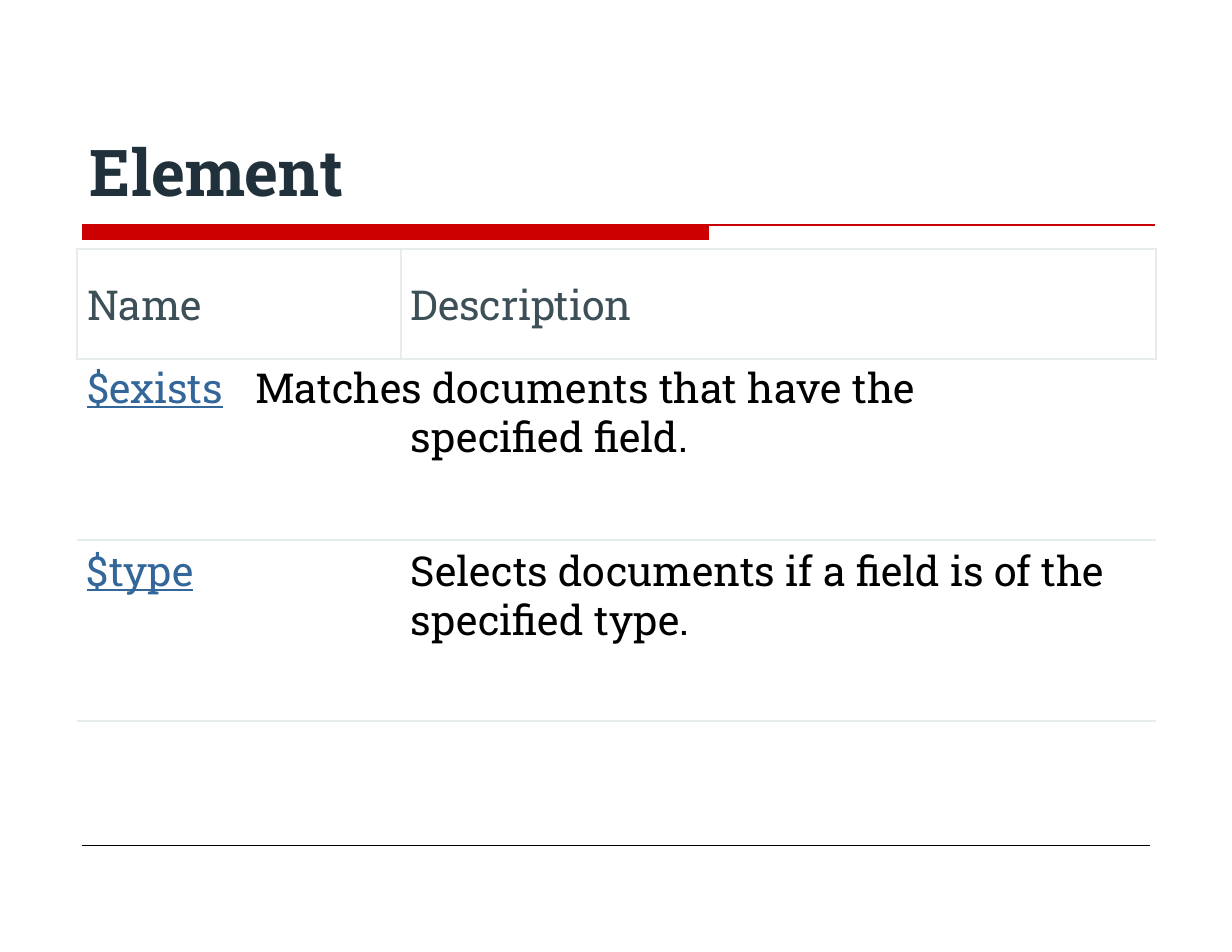
from pptx import Presentation
from pptx.dml.color import RGBColor
from pptx.enum.shapes import MSO_CONNECTOR, MSO_SHAPE
from pptx.enum.text import MSO_ANCHOR, MSO_AUTO_SIZE, PP_ALIGN
from pptx.oxml.ns import qn
from pptx.util import Pt
from lxml import etree

STRAIGHT = MSO_CONNECTOR.STRAIGHT
RECT = MSO_SHAPE.RECTANGLE
TOP, LEFT, NO_FIT = MSO_ANCHOR.TOP, PP_ALIGN.LEFT, MSO_AUTO_SIZE.NONE

RED = RGBColor(0xCC, 0x00, 0x00)
BLACK = RGBColor(0x00, 0x00, 0x00)
WHITE = RGBColor(0xFF, 0xFF, 0xFF)
NAVY = RGBColor(0x21, 0x31, 0x3B)
SLATE = RGBColor(0x3D, 0x4F, 0x57)
LINK = RGBColor(0x33, 0x66, 0x99)
BORDER = RGBColor(0xE6, 0xED, 0xEB)
FONT = "Roboto Slab"
PX = 914400 // 112

TITLE = "Element"
HEADERS = ["Name", "Description"]
PAD, TAB = 10, 334
OPERATORS = [
    {"top": 6, "line": 31.8, "paragraphs": [
        {"name": "$exists", "text": "Matches documents that have the",
         "margin": PAD, "indent": 0, "before": 3.6},
        {"name": "", "text": "specified field.",
         "margin": TAB, "indent": 0, "before": 0}]},
    {"top": 8, "line": 31.7, "paragraphs": [
        {"name": "$type",
         "text": "Selects documents if a field is of the specified type.",
         "margin": TAB, "indent": PAD - TAB, "before": 4.8}]},
]
COLUMNS = [324, 755]
ROWS = [110, 181, 181]
TABLE_LEFT, TABLE_TOP = 77, 249
RULES = [(82, 225, 1155, RED, 0.84), (82, 845, 1150, BLACK, 0.25)]


def px(n):
    return n * PX


def add_run(p, text, size, color, spacing=0, **formats):
    r = p.add_run()
    r.text = text
    values = {"name": FONT, "size": Pt(size), "bold": False, **formats}
    for key, value in values.items():
        setattr(r.font, key, value)
    r.font.color.rgb = color
    r.font._element.set("spc", str(round(spacing * 100)))


def set_frame(target, top):
    for side, value in {"left": 0, "top": top, "right": 0, "bottom": 0}.items():
        setattr(target, "margin_" + side, px(value))
    target.vertical_anchor = TOP


def set_paragraph(p, margin, indent, before, line=None):
    p.alignment = LEFT
    p.space_before = Pt(before)
    if line:
        p.line_spacing = Pt(line)
    pPr = p._p.get_or_add_pPr()
    pPr.set("marL", str(px(margin)))
    pPr.set("indent", str(px(indent)))
    return pPr


def style_cell(cell, widths):
    tcPr = cell._tc.get_or_add_tcPr()
    for side in "LRTB":
        width = widths.get(side, 0)
        ln = etree.SubElement(tcPr, qn("a:ln" + side), w=str(Pt(width)))
        if width:
            fill = etree.SubElement(ln, qn("a:solidFill"))
            etree.SubElement(fill, qn("a:srgbClr"), val=str(BORDER))
        else:
            etree.SubElement(ln, qn("a:noFill"))
    cell.fill.solid()
    cell.fill.fore_color.rgb = WHITE


prs = Presentation()
prs.slide_width, prs.slide_height = px(1232), px(952)
s = prs.slides.add_slide(prs.slide_layouts[5])

title = s.shapes.title
title.left, title.top, title.width, title.height = map(px, (63, 44, 1064, 168))
tf = title.text_frame
tf.auto_size = NO_FIT
set_frame(tf, 88)
p = tf.paragraphs[0]
set_paragraph(p, 27, 0, 1.2)
add_run(p, TITLE, 41.5, NAVY, -0.1, bold=True)

bar = s.shapes.add_shape(RECT, *map(px, (82, 225, 627, 15)))
bar.shadow.inherit = False
bar.fill.solid()
bar.fill.fore_color.rgb = RED
bar.line.fill.background()

for left, y, right, color, width in RULES:
    rule = s.shapes.add_connector(STRAIGHT, *map(px, (left, y, right, y)))
    rule.line.color.rgb = color
    rule.line.width = Pt(width)
    etree.SubElement(rule._element.spPr, qn("a:effectLst"))

table = s.shapes.add_table(
    len(ROWS), len(COLUMNS),
    *map(px, (TABLE_LEFT, TABLE_TOP, sum(COLUMNS), sum(ROWS)))).table
table.first_row = table.horz_banding = False
for column, width in zip(table.columns, COLUMNS):
    column.width = px(width)
for row, height in zip(table.rows, ROWS):
    row.height = px(height)

for cell, text in zip(table.rows[0].cells, HEADERS):
    set_frame(cell, 28)
    style_cell(cell, {"L": 1, "R": 1, "T": 1.5, "B": 1})
    p = cell.text_frame.paragraphs[0]
    set_paragraph(p, PAD, 0, 17.6)
    add_run(p, text, 26.5, SLATE, -0.1)

for i, operator in enumerate(OPERATORS, 1):
    for cell in table.rows[i].cells:
        style_cell(cell, {"T": 1, "B": 1})
    cell = table.cell(i, 0)
    cell.merge(table.cell(i, 1))
    set_frame(cell, operator["top"])
    tf = cell.text_frame
    for j, item in enumerate(operator["paragraphs"]):
        p = tf.add_paragraph() if j else tf.paragraphs[0]
        pPr = set_paragraph(p, item["margin"], item["indent"],
                            item["before"], operator["line"])
        if item["name"]:
            tabs = etree.SubElement(pPr, qn("a:tabLst"))
            etree.SubElement(tabs, qn("a:tab"), pos=str(px(TAB)), algn="l")
            add_run(p, item["name"], 26.5, LINK, -0.1, underline=True)
            add_run(p, "\t", 26.5, LINK)
        add_run(p, item["text"], 26.5, BLACK)

prs.save("out.pptx")
